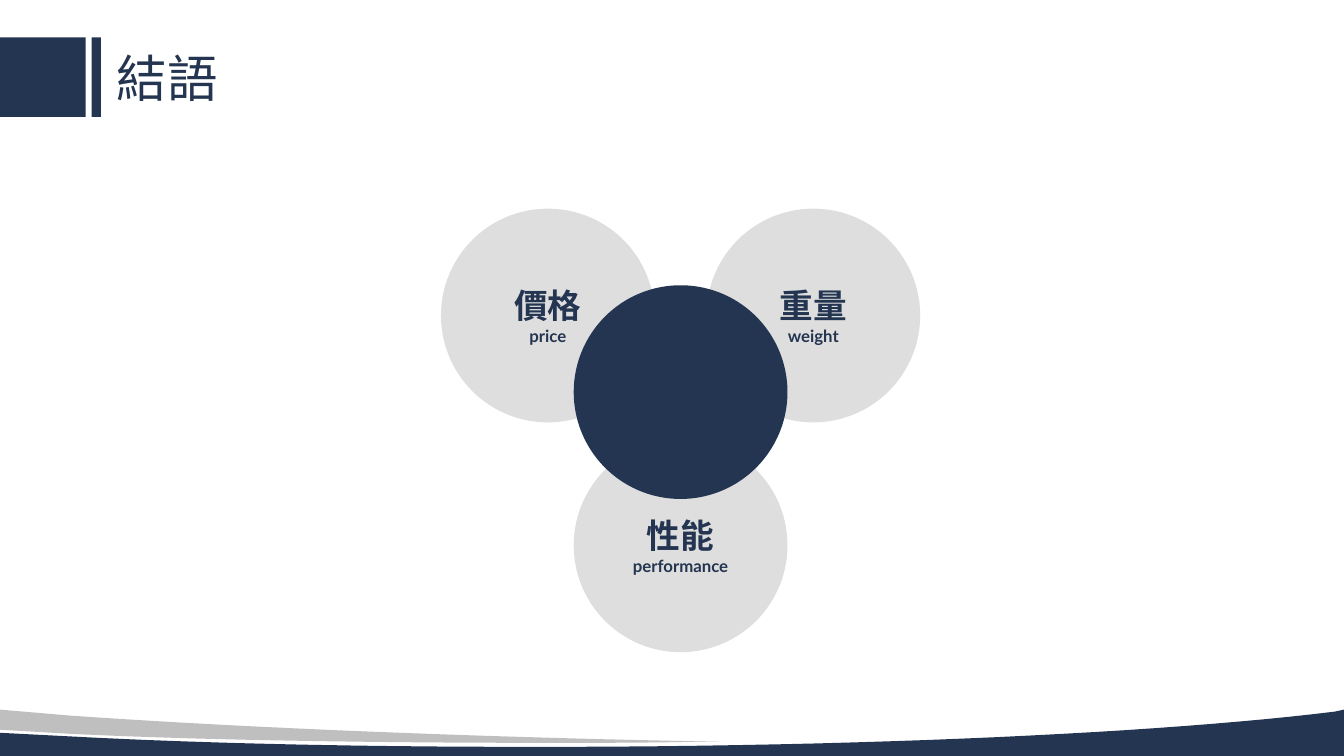
from math import cos, radians, sin
from typing import NamedTuple

from pptx import Presentation
from pptx.dml.color import RGBColor
from pptx.enum.shapes import MSO_SHAPE as Preset
from pptx.enum.text import MSO_ANCHOR as Anchor, PP_ALIGN as Align
from pptx.shapes.autoshape import Shape
from pptx.slide import Slide
from pptx.text.text import TextFrame
from pptx.util import Inches, Pt

NAVY = RGBColor(0x24, 0x35, 0x51)
SILVER = RGBColor(0xBF, 0xBF, 0xBF)
PALE_GREY = RGBColor(0xDE, 0xDE, 0xDE)
FONT = "Lato"
TITLE_ONLY_LAYOUT = 5
CURVE_STEPS = 24

HUB_X, HUB_Y = 6.75, 3.89
DIAMETER = 2.12
PETAL_DISTANCE = 1.52

Point = tuple[float, float]


class Petal(NamedTuple):
    name: str
    english: str
    angle: float


class Bar(NamedTuple):
    left: float
    width: float


class Wave(NamedTuple):
    """A closed outline; a segment is one line end or three Bézier points."""
    color: RGBColor
    start: Point
    segments: list[list[Point]]


PETALS = [
    Petal("價格", "price", 210),
    Petal("重量", "weight", 330),
    Petal("性能", "performance", 90),
]
BARS = [Bar(0, 0.85), Bar(0.91, 0.09)]
WAVES = [
    Wave(NAVY, (13.33, 7.04), [
        [(13.33, 7.5)], [(0, 7.5)], [(0, 7.27)], [(0.77, 7.31)],
        [(2.12, 7.38), (3.67, 7.41), (5.32, 7.41)],
        [(8.62, 7.41), (11.53, 7.27), (13.24, 7.06)],
    ]),
    Wave(SILVER, (0, 7.04), [
        [(0.7, 7.1)],
        [(2.29, 7.21), (4.17, 7.29), (6.22, 7.34)],
        [(7.15, 7.36)], [(6.84, 7.36)],
        [(6.4, 7.37), (5.94, 7.37), (5.48, 7.37)],
        [(3.61, 7.37), (1.92, 7.34), (0.69, 7.28)],
        [(0, 7.24)],
    ]),
]


def paint(shape: Shape, color: RGBColor) -> None:
    shape.shadow.inherit = False
    shape.fill.solid()
    shape.fill.fore_color.rgb = color
    shape.line.fill.background()


def format_text(text_frame: TextFrame, sizes: list[int], align: Align, bold: bool) -> None:
    """Format each paragraph with the size at the same position."""
    text_frame.vertical_anchor = Anchor.MIDDLE
    for paragraph, size in zip(text_frame.paragraphs, sizes):
        paragraph.alignment = align
        for run in paragraph.runs:
            run.font.name = FONT
            run.font.size = Pt(size)
            run.font.bold = bold
            run.font.color.rgb = NAVY


def curve_points(start: Point, first: Point, second: Point, end: Point) -> list[Point]:
    """Sample a cubic Bézier curve, leaving out its start."""
    points = []
    for step in range(1, CURVE_STEPS + 1):
        t = step / CURVE_STEPS
        weights = ((1 - t) ** 3, 3 * t * (1 - t) ** 2, 3 * t ** 2 * (1 - t), t ** 3)
        controls = (start, first, second, end)
        points.append((
            sum(weight * x for weight, (x, _) in zip(weights, controls)),
            sum(weight * y for weight, (_, y) in zip(weights, controls)),
        ))
    return points


def add_wave(slide: Slide, wave: Wave) -> None:
    outline = [wave.start]
    for segment in wave.segments:
        outline += curve_points(outline[-1], *segment) if len(segment) == 3 else segment
    vertices = [(Inches(x), Inches(y)) for x, y in outline]
    builder = slide.shapes.build_freeform(*vertices[0])
    builder.add_line_segments(vertices[1:], close=True)
    paint(builder.convert_to_shape(), wave.color)


def add_bar(slide: Slide, bar: Bar) -> None:
    shape = slide.shapes.add_shape(
        Preset.RECTANGLE, Inches(bar.left), Inches(0.37), Inches(bar.width), Inches(0.79))
    paint(shape, NAVY)


def add_circle(slide: Slide, center_x: float, center_y: float, color: RGBColor) -> Shape:
    shape = slide.shapes.add_shape(
        Preset.OVAL, Inches(center_x - DIAMETER / 2), Inches(center_y - DIAMETER / 2),
        Inches(DIAMETER), Inches(DIAMETER))
    paint(shape, color)
    return shape


def add_petal(slide: Slide, petal: Petal) -> None:
    angle = radians(petal.angle)
    circle = add_circle(
        slide, HUB_X + PETAL_DISTANCE * cos(angle), HUB_Y + PETAL_DISTANCE * sin(angle), PALE_GREY)
    circle.text_frame.text = f"{petal.name}\n{petal.english}"
    format_text(circle.text_frame, [24, 12], Align.CENTER, bold=True)


def set_title(slide: Slide, text: str) -> None:
    title = slide.shapes.title
    title.left, title.top = Inches(1.06), Inches(0.41)
    title.width, title.height = Inches(9.98), Inches(0.71)
    title.text_frame.text = text
    format_text(title.text_frame, [36], Align.LEFT, bold=False)


def main() -> None:
    presentation = Presentation()
    presentation.slide_width, presentation.slide_height = Inches(13.33), Inches(7.5)
    slide = presentation.slides.add_slide(presentation.slide_layouts[TITLE_ONLY_LAYOUT])
    set_title(slide, "結語")
    for bar in BARS:
        add_bar(slide, bar)
    for wave in WAVES:
        add_wave(slide, wave)
    for petal in PETALS:
        add_petal(slide, petal)
    add_circle(slide, HUB_X, HUB_Y, NAVY)
    presentation.save("out.pptx")


if __name__ == "__main__":
    main()
